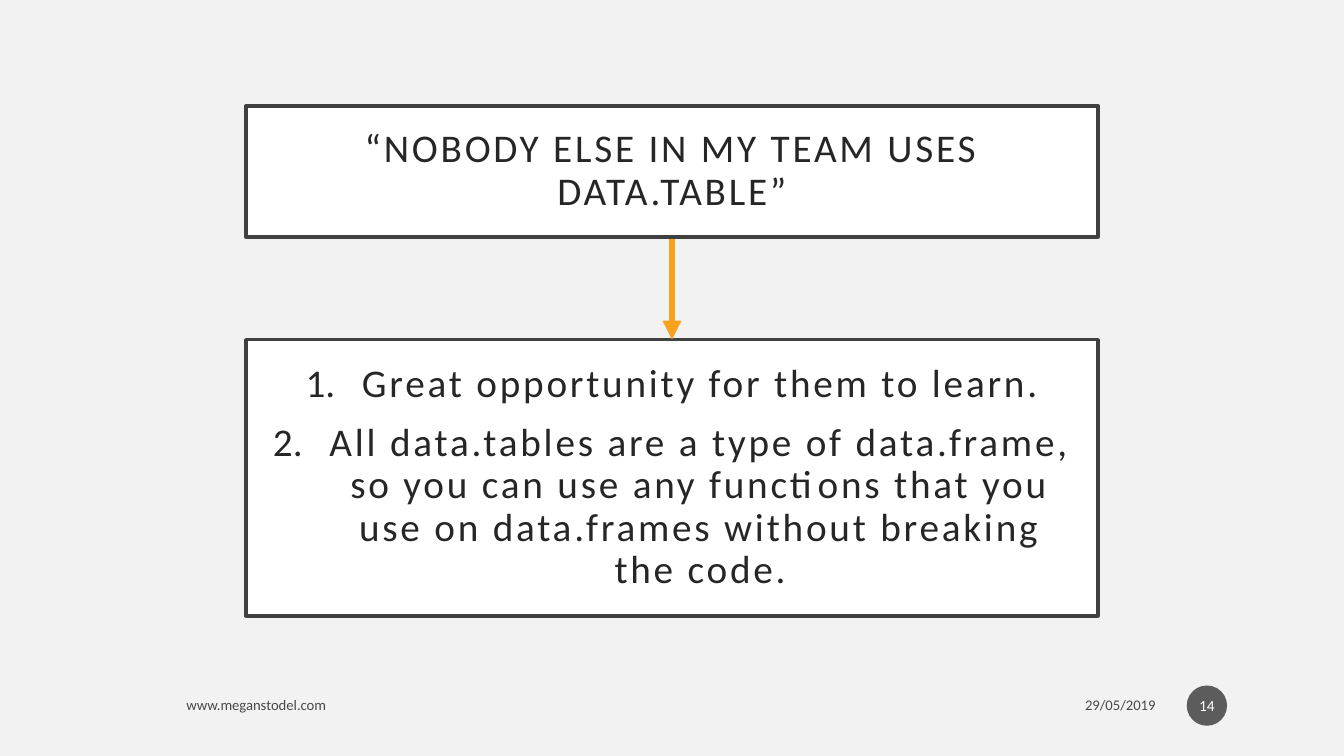
from dataclasses import dataclass

from lxml.etree import SubElement
from pptx import Presentation
from pptx.dml.color import RGBColor
from pptx.enum.shapes import MSO_CONNECTOR, MSO_SHAPE
from pptx.enum.text import MSO_ANCHOR, MSO_AUTO_SIZE, PP_ALIGN
from pptx.oxml.ns import qn
from pptx.util import Inches, Pt


@dataclass(frozen=True)
class Theme:
    font: str = "Calibri"
    background: str = "F2F2F2"
    box: str = "FFFFFF"
    border: str = "404040"
    text: str = "262626"
    footer: str = "000000"
    badge: str = "1D1D1D"
    badge_text: str = "FFFFFF"
    arrow: str = "F6A21D"
    heading_size: float = 28
    footer_size: float = 10.5
    badge_size: float = 11
    border_width: float = 2.5
    arrow_width: float = 4.5
    opacity: int = 70


def rgb(colour):
    return RGBColor.from_string(colour)


def apply(target, values):
    for name, value in values.items():
        setattr(target, name, value)


class SlideBuilder:
    """Places elements on a grid of 100 columns by 100 rows."""

    def __init__(self, prs, theme):
        self.theme = theme
        self.col = prs.slide_width / 100
        self.row = prs.slide_height / 100
        self.slide = prs.slides.add_slide(prs.slide_layouts[1])
        fill = self.slide.background.fill
        fill.solid()
        fill.fore_color.rgb = rgb(theme.background)

    def cells(self, x, y, w, h):
        return (round(x * self.col), round(y * self.row),
                round(w * self.col), round(h * self.row))

    def add_text(self, p, text, size, colour, spacing=0):
        r = p.add_run()
        r.text = text
        apply(r.font, {"name": self.theme.font, "size": Pt(size)})
        r.font.color.rgb = rgb(colour)
        if spacing:
            r._r.get_or_add_rPr().set("spc", str(spacing * 100))

    def fade(self, sp):
        """Makes the first colour of the shape partly transparent."""
        colour = next(sp._element.iter(qn("a:srgbClr")))
        SubElement(colour, qn("a:alpha"), val=str(self.theme.opacity * 1000))

    def number(self, p):
        pPr = p._p.get_or_add_pPr()
        indent = Inches(0.56)
        pPr.set("marL", str(indent))
        pPr.set("indent", str(-indent))
        SubElement(pPr, qn("a:buFont"), typeface="+mj-lt")
        SubElement(pPr, qn("a:buAutoNum"), type="arabicPeriod")

    def framed(self, sp, place, lines, numbered=False):
        """Turns a placeholder into a bordered box of centred text."""
        t = self.theme
        apply(sp, dict(zip(("left", "top", "width", "height"), self.cells(*place))))
        sp.fill.solid()
        sp.fill.fore_color.rgb = rgb(t.box)
        sp.line.color.rgb = rgb(t.border)
        sp.line.width = Pt(t.border_width)
        tf = sp.text_frame
        margins = ("margin_left", "margin_top", "margin_right", "margin_bottom")
        apply(tf, dict.fromkeys(margins, Inches(0.2)))
        apply(tf, {"word_wrap": True, "auto_size": MSO_AUTO_SIZE.NONE,
                   "vertical_anchor": MSO_ANCHOR.MIDDLE})
        for i, line in enumerate(lines):
            p = tf.add_paragraph() if i else tf.paragraphs[0]
            if numbered:
                self.number(p)
            apply(p, {"alignment": PP_ALIGN.CENTER, "line_spacing": 0.9,
                      "space_before": Pt(0), "space_after": Pt(12 if numbered else 0)})
            self.add_text(p, line, t.heading_size, t.text, spacing=2)

    def footer(self, place, text, align):
        sp = self.slide.shapes.add_textbox(*self.cells(*place))
        apply(sp.text_frame, {"word_wrap": True, "vertical_anchor": MSO_ANCHOR.MIDDLE})
        p = sp.text_frame.paragraphs[0]
        p.alignment = align
        self.add_text(p, text, self.theme.footer_size, self.theme.footer)
        self.fade(sp)

    def badge(self, place, text):
        t = self.theme
        sp = self.slide.shapes.add_shape(MSO_SHAPE.OVAL, *self.cells(*place))
        sp.shadow.inherit = False
        sp.fill.solid()
        sp.fill.fore_color.rgb = rgb(t.badge)
        sp.line.fill.background()
        self.fade(sp)
        apply(sp.text_frame, {"margin_left": Inches(0.02), "margin_right": Inches(0.02),
                              "vertical_anchor": MSO_ANCHOR.MIDDLE})
        p = sp.text_frame.paragraphs[0]
        p.alignment = PP_ALIGN.CENTER
        self.add_text(p, text, t.badge_size, t.badge_text)

    def down_arrow(self, x, top, bottom):
        x, top, _, bottom = self.cells(x, top, 0, bottom)
        arrow = self.slide.shapes.add_connector(MSO_CONNECTOR.STRAIGHT, x, top, x, bottom)
        arrow.line.color.rgb = rgb(self.theme.arrow)
        arrow.line.width = Pt(self.theme.arrow_width)
        spPr = arrow._element.spPr
        SubElement(spPr.find(qn("a:ln")), qn("a:tailEnd"), type="triangle")
        SubElement(spPr, qn("a:effectLst"))


def main():
    prs = Presentation()
    prs.slide_width, prs.slide_height = Inches(13.33), Inches(7.5)
    s = SlideBuilder(prs, Theme())
    title, body = s.slide.placeholders

    box_left, box_width = 18.3, 63.4
    answer_top = 44.93
    s.framed(title, (box_left, 14, box_width, 17.33),
             ["“NOBODY ELSE IN MY TEAM USES DATA.TABLE”"])
    s.framed(body, (box_left, answer_top, box_width, 36.53), [
        "Great opportunity for them to learn.",
        "All data.tables are a type of data.frame, so you can use any functions "
        "that you use on data.frames without breaking the code.",
    ], numbered=True)
    s.down_arrow(50, 31.6, answer_top)

    footer_top, footer_height = 90.93, 4.67
    s.footer((13.13, footer_top, 48.39, footer_height), "www.meganstodel.com", PP_ALIGN.LEFT)
    s.footer((64.14, footer_top, 22.58, footer_height), "29/05/2019", PP_ALIGN.RIGHT)
    s.badge((88.3, 90.67, 3, 5.33), "14")
    prs.save("out.pptx")


if __name__ == "__main__":
    main()
